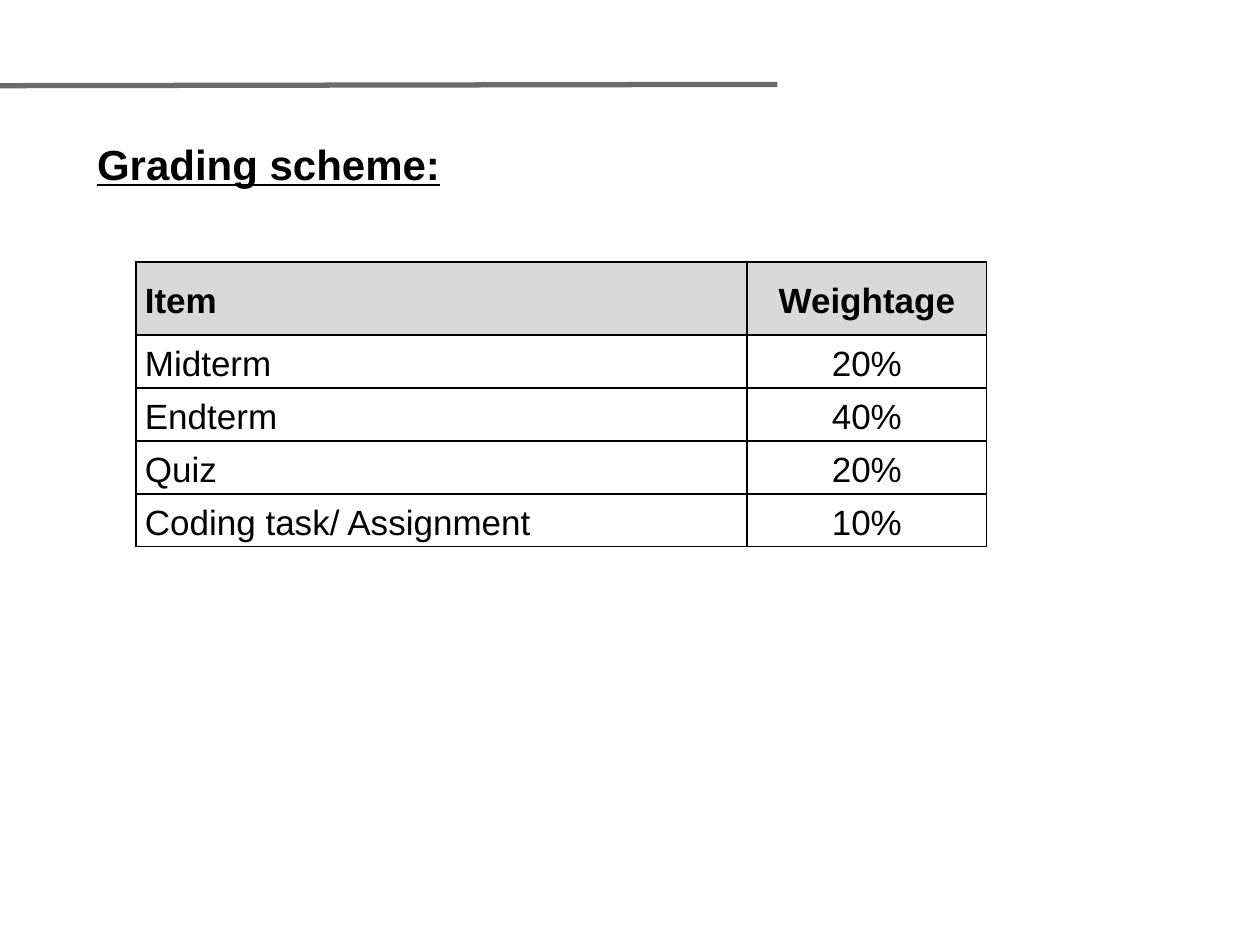
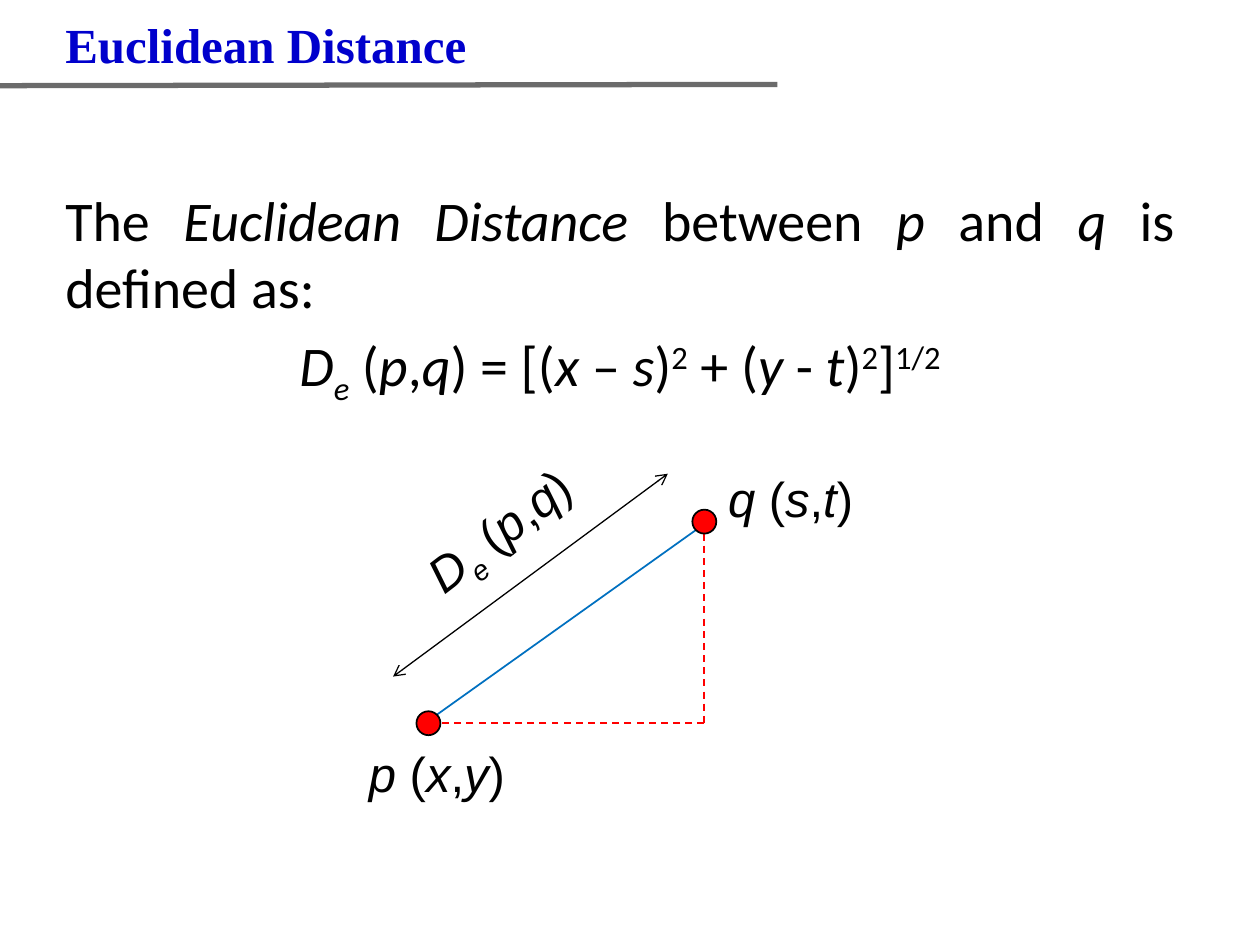
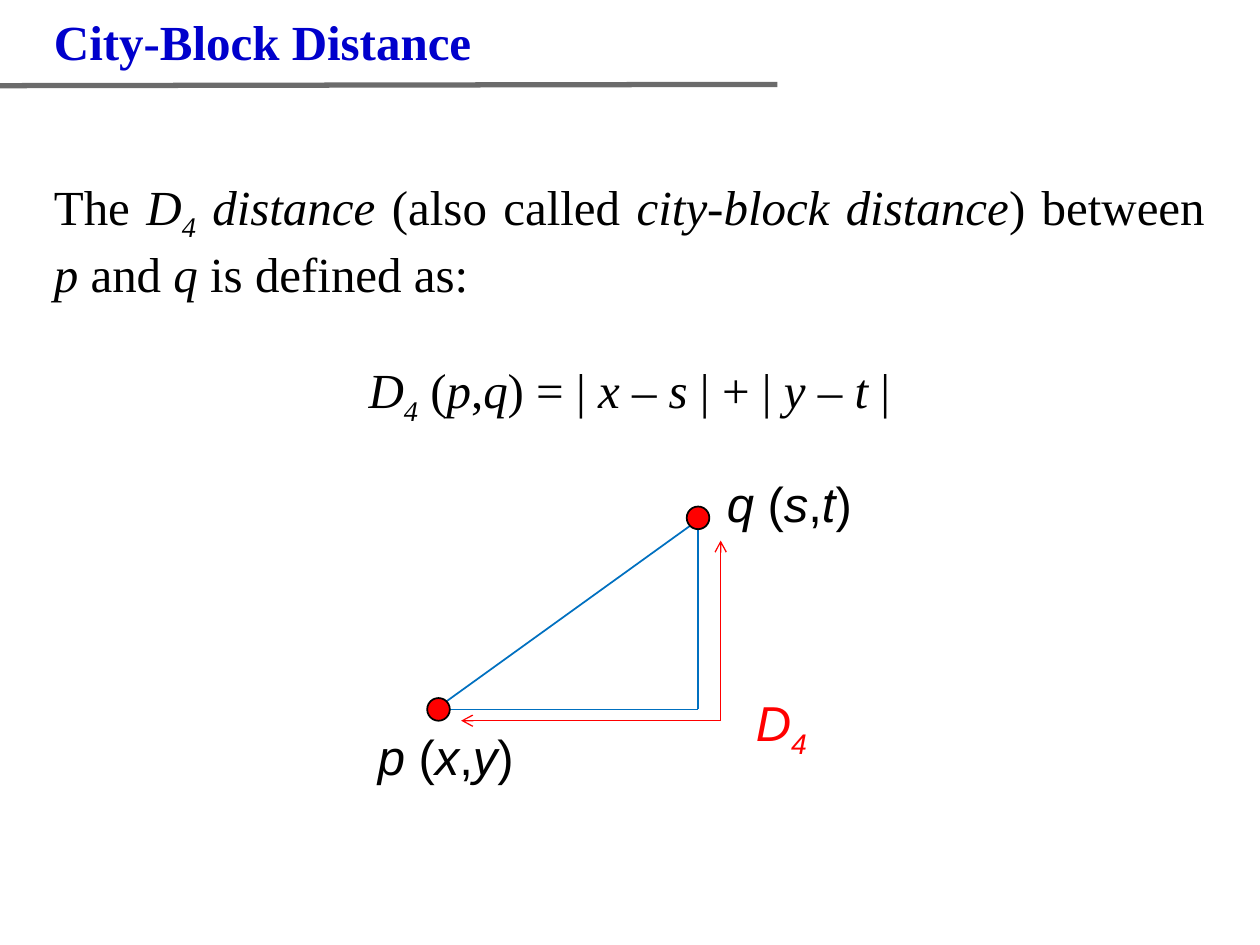
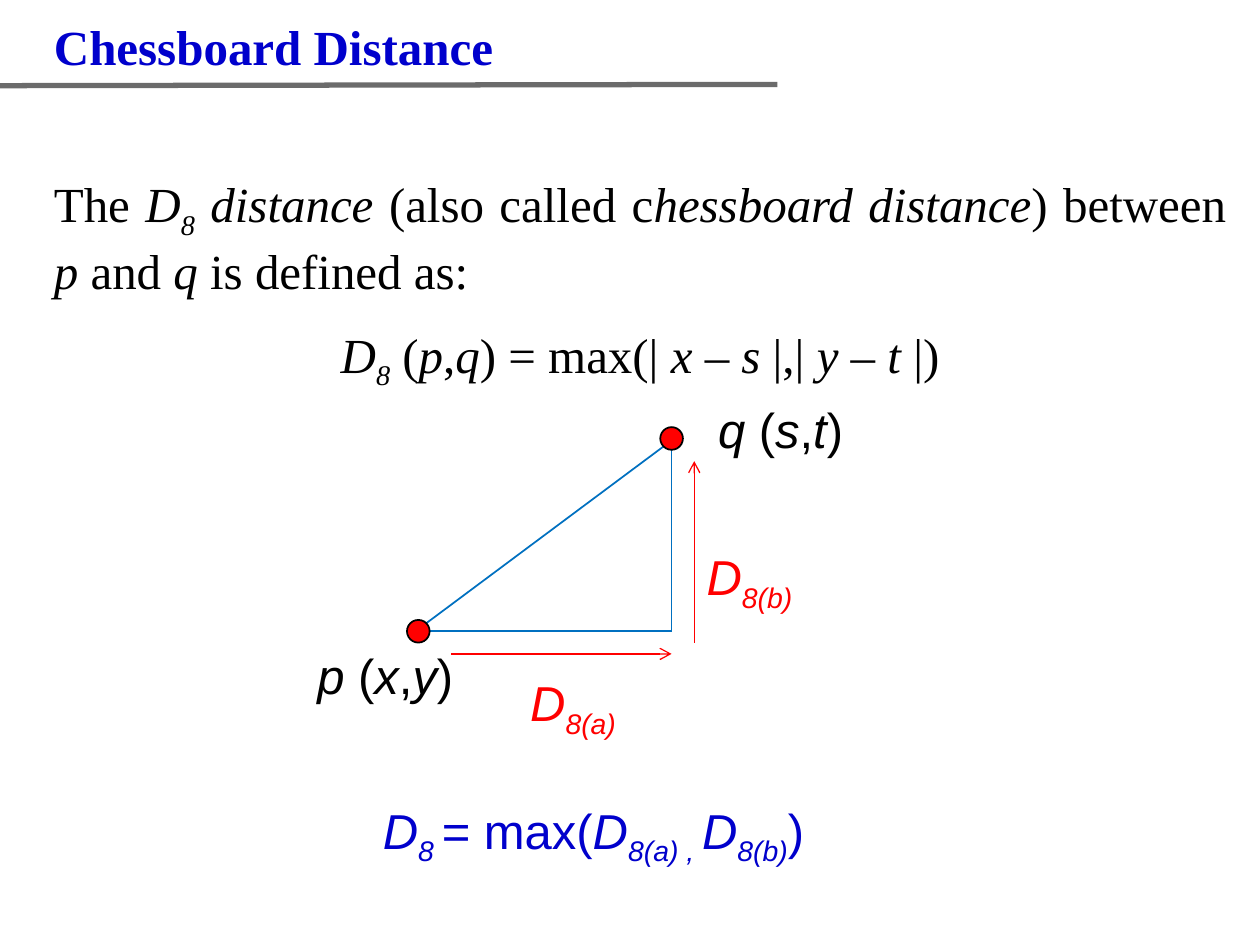
from math import sqrt

from lxml import etree
from pptx import Presentation
from pptx.dml.color import RGBColor
from pptx.enum.dml import MSO_LINE_DASH_STYLE as DASH
from pptx.enum.shapes import MSO_CONNECTOR, MSO_SHAPE
from pptx.enum.text import MSO_ANCHOR, PP_ALIGN as ALIGN
from pptx.oxml.ns import qn
from pptx.util import Inches, Pt

BLACK = RGBColor(0x00, 0x00, 0x00)
RED = RGBColor(0xFF, 0x00, 0x00)
NAVY = RGBColor(0x00, 0x00, 0xCC)
BLUE = RGBColor(0x00, 0x70, 0xC0)
GRAY = RGBColor(0x6B, 0x6B, 0x6B)
HEADER_FILL = RGBColor(0xD9, 0xD9, 0xD9)

SANS, BODY, SERIF = "Arial", "Calibri", "Times New Roman"
TOGGLES = {"*": "italic", "_": "sub", "^": "super"}
BASELINES = {"sub": "-25000", "super": "30000"}
P_LABEL = "*p* (*x*,*y*)"
Q_LABEL = "*q* (*s*,*t*)"

GRADES = [
    ("Item", "Weightage"),
    ("Midterm", "20%"),
    ("Endterm", "40%"),
    ("Quiz", "20%"),
    ("Coding task/ Assignment", "10%"),
]


def split_markup(text):
    on, chunk = set(), ""
    for ch in text:
        if ch in TOGGLES:
            if chunk:
                yield chunk, set(on)
            on ^= {TOGGLES[ch]}
            chunk = ""
        else:
            chunk += ch
    if chunk:
        yield chunk, on


def write_runs(p, text, size=28, font=SANS, color=BLACK, bold=False, underline=False):
    for chunk, marks in split_markup(text):
        r = p.add_run()
        r.text = chunk
        f = r.font
        f.size, f.name, f.bold, f.underline = Pt(size), font, bold, underline
        f.italic = "italic" in marks
        f.color.rgb = color
        for mark in marks & BASELINES.keys():
            r._r.get_or_add_rPr().set("baseline", BASELINES[mark])


def add_text(s, text, at, aligns=(ALIGN.LEFT,), gap=0, spacing=None,
             left=0.1, top=0.05, rotation=0, **fmt):
    box = s.shapes.add_textbox(*map(Inches, at))
    box.rotation = rotation
    tf = box.text_frame
    tf.word_wrap = True
    tf.margin_left, tf.margin_top = Inches(left), Inches(top)
    for i, (line, align) in enumerate(zip(text.split("\n"), aligns)):
        p = tf.add_paragraph() if i else tf.paragraphs[0]
        p.alignment = align
        if spacing:
            p.line_spacing = spacing
        if i:
            p.space_before = Pt(gap)
        write_runs(p, line, **fmt)


def add_line(s, start, end, color, width=1.0, dash=None, head=False, tail=False):
    c = s.shapes.add_connector(MSO_CONNECTOR.STRAIGHT, *map(Inches, (*start, *end)))
    c.line.color.rgb = color
    c.line.width = Pt(width)
    if dash:
        c.line.dash_style = dash
    spPr = c.element.spPr
    ln = spPr.find(qn("a:ln"))
    for tag, wanted in (("a:headEnd", head), ("a:tailEnd", tail)):
        if wanted:
            etree.SubElement(ln, qn(tag), type="arrow")
    etree.SubElement(spPr, qn("a:effectLst"))


def add_dot(s, center, size):
    x, y = center
    sp = s.shapes.add_shape(MSO_SHAPE.OVAL, *map(Inches, (x - size / 2, y - size / 2, size, size)))
    sp.shadow.inherit = False
    sp.fill.solid()
    sp.fill.fore_color.rgb = RED
    sp.line.color.rgb = BLACK
    sp.line.width = Pt(1)


def add_triangle(s, p, q, p_label_at, q_label_at, dot=0.18, leg_color=BLUE, leg_dash=None):
    (px, py), (qx, qy) = p, q
    r = dot / 2
    d = r / sqrt(2)
    corner = (qx, py)
    add_line(s, (px + d, py - d), (qx - d, qy + d), BLUE)
    add_line(s, (qx, qy + r), corner, leg_color, dash=leg_dash)
    add_line(s, corner, (px + r, py), leg_color, dash=leg_dash)
    add_dot(s, p, dot)
    add_dot(s, q, dot)
    add_text(s, P_LABEL, p_label_at)
    add_text(s, Q_LABEL, q_label_at)


def add_definition(s, text, at, **fmt):
    add_text(s, text, at, aligns=(ALIGN.JUSTIFY, ALIGN.CENTER), **fmt)


def add_grade_table(s):
    widths, heights = (4.85, 1.9), (0.58,) + (0.42,) * 4
    frame = s.shapes.add_table(len(GRADES), 2, *map(Inches, (1.08, 2.08, sum(widths), sum(heights))))
    table = frame.table
    table.horz_banding = False
    for col, w in zip(table.columns, widths):
        col.width = Inches(w)
    for i, (row, h) in enumerate(zip(table.rows, heights)):
        row.height = Inches(h)
        for j, cell in enumerate(row.cells):
            fill_cell(cell, GRADES[i][j], ALIGN.CENTER if j else ALIGN.LEFT, header=i == 0)


def fill_cell(cell, text, align, header):
    cell.margin_left = cell.margin_right = Inches(0.07)
    cell.margin_top = cell.margin_bottom = 0
    cell.vertical_anchor = MSO_ANCHOR.MIDDLE
    tcPr = cell._tc.get_or_add_tcPr()
    for side in "LRTB":
        ln = etree.SubElement(tcPr, qn(f"a:ln{side}"), w=str(Pt(1)))
        fill = etree.SubElement(ln, qn("a:solidFill"))
        etree.SubElement(fill, qn("a:srgbClr"), val=str(BLACK))
    if header:
        cell.fill.solid()
        cell.fill.fore_color.rgb = HEADER_FILL
    else:
        cell.fill.background()
    p = cell.text_frame.paragraphs[0]
    p.alignment = align
    p.line_spacing = 1.15
    write_runs(p, text, size=20, bold=header)


def new_slide(prs, title=None, at=None):
    s = prs.slides.add_slide(prs.slide_layouts[6])
    add_line(s, (-0.02, 0.68), (6.17, 0.67), GRAY, width=3)
    if title:
        add_text(s, title, at, font=SERIF, color=NAVY, bold=True)
    return s


def grading_slide(prs):
    s = new_slide(prs)
    add_text(s, "Grading scheme:", (0.25, 0.75, 9.58, 4.27), spacing=1.25,
             left=0.52, top=0.25, size=24, bold=True, underline=True)
    add_grade_table(s)


def euclidean_slide(prs):
    s = new_slide(prs, "Euclidean Distance", (0.42, 0.07, 3.52, 0.57))
    add_definition(
        s,
        "The *Euclidean Distance* between *p* and *q* is defined as:\n"
        "*D_e_* (*p*,*q*) = [(*x* – *s*)^2^ + (*y* - *t*)^2^]^1/2^",
        (0.42, 1.42, 9, 1.83), gap=6.4, size=32, font=BODY)
    add_triangle(s, (3.4, 5.74), (5.59, 4.14), (2.83, 5.85, 1.8, 0.65), (5.68, 3.67, 1.9, 0.65),
                 dot=0.19, leg_color=RED, leg_dash=DASH.DASH)
    add_line(s, (3.12, 5.37), (5.3, 3.76), BLACK, width=0.75, head=True, tail=True)
    add_text(s, "*D_e_* (*p*,*q*)", (3.17, 3.75, 2.04, 0.65), rotation=322.6)


def city_block_slide(prs):
    s = new_slide(prs, "City-Block Distance", (0.33, 0.04, 3.55, 0.57))
    add_definition(
        s,
        "The *D_4_ distance *(also called *city-block distance*) between *p* and *q* is defined as:\n"
        "*D_4_ *(*p*,*q*) = | *x* – *s *| + | *y* – *t *|",
        (0.33, 1.35, 9.33, 1.99), gap=33, font=SERIF)
    add_triangle(s, (3.48, 5.63), (5.54, 4.11), (2.9, 5.72, 1.52, 0.61), (5.67, 3.71, 1.43, 0.61))
    for end in ((5.72, 4.29), (3.66, 5.72)):
        add_line(s, (5.72, 5.72), end, RED, width=0.75, tail=True)
    add_text(s, "*D_4_*", (5.9, 5.45, 0.72, 0.43), color=RED)


def chessboard_slide(prs):
    s = new_slide(prs, "Chessboard Distance", (0.33, 0.08, 3.73, 0.57))
    add_definition(
        s,
        "The *D_8_ distance *(also called c*hessboard distance*) between *p* and *q* is defined as:\n"
        "*D_8_ *(*p*,*q*) = max(| *x* – *s *|,| *y* – *t *|)",
        (0.33, 1.33, 9.5, 1.75), gap=14, font=SERIF)
    add_triangle(s, (3.32, 5.01), (5.33, 3.48), (2.42, 5.07, 1.51, 0.62), (5.6, 3.12, 1.69, 0.62))
    add_line(s, (5.51, 5.1), (5.51, 3.66), RED, width=0.75, tail=True)
    add_line(s, (3.58, 5.19), (5.33, 5.19), RED, width=0.75, tail=True)
    add_text(s, "*D_8(b)_*", (5.51, 4.29, 1.34, 0.62), color=RED)
    add_text(s, "*D_8(a)_*", (4.11, 5.29, 2.37, 0.62), color=RED)
    add_text(s, "*D_8 _*= max(*D_8(a) , _D_8(b)_*)", (2.94, 6.3, 4.62, 0.62), color=NAVY)


def main():
    prs = Presentation()
    prs.slide_width, prs.slide_height = Inches(10), Inches(7.5)
    grading_slide(prs)
    euclidean_slide(prs)
    city_block_slide(prs)
    chessboard_slide(prs)
    prs.save("out.pptx")


if __name__ == "__main__":
    main()
